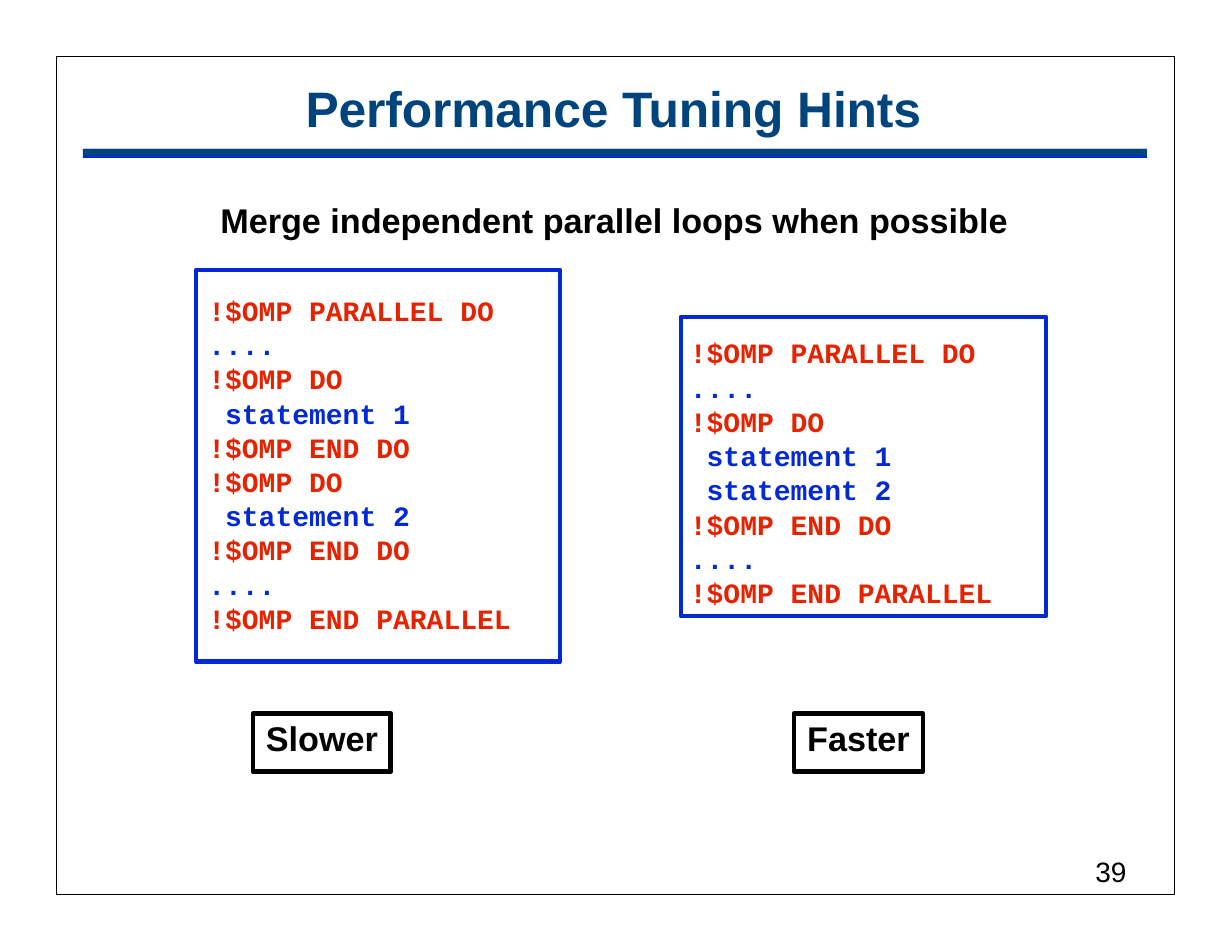
from pptx import Presentation
from pptx.dml.color import RGBColor
from pptx.enum.shapes import MSO_SHAPE
from pptx.enum.text import MSO_ANCHOR, PP_ALIGN
from pptx.util import Inches, Pt

RECT = MSO_SHAPE.RECTANGLE
TOP, MIDDLE = MSO_ANCHOR.TOP, MSO_ANCHOR.MIDDLE
LEFT, CENTER = PP_ALIGN.LEFT, PP_ALIGN.CENTER

COLORS = {"navy": "00447E", "blue": "0329D6", "red": "E62300", "black": "000000"}
FONTS = {
    "title": {"name": "Arial", "size": Pt(32), "bold": True},
    "head": {"name": "Arial", "size": Pt(22), "bold": True},
    "code": {"name": "Courier New", "size": Pt(18), "bold": True},
    "page": {"name": "Arial", "size": Pt(18), "bold": False},
}
INDENT = 0.15
SLOW = ["!$OMP PARALLEL DO", "....", "!$OMP DO", " statement 1", "!$OMP END DO",
        "!$OMP DO", " statement 2", "!$OMP END DO", "....", "!$OMP END PARALLEL"]
FAST = ["!$OMP PARALLEL DO", "....", "!$OMP DO", " statement 1", " statement 2",
        "!$OMP END DO", "....", "!$OMP END PARALLEL"]


def color(name):
    return RGBColor.from_string(COLORS[name])


def place(shape, box):
    for key, value in zip(("left", "top", "width", "height"), box):
        setattr(shape, key, Inches(value))


def set_frame(shape, anchor=TOP, inset=0, wrap=True):
    frame = shape.text_frame
    values = {"margin_left": 0, "margin_top": Inches(inset), "margin_right": 0,
              "margin_bottom": 0, "vertical_anchor": anchor, "word_wrap": wrap}
    for key, value in values.items():
        setattr(frame, key, value)
    return frame


def write(para, text, style, ink, align=LEFT):
    para.text = text
    para.alignment = align
    for key, value in FONTS[style].items():
        setattr(para.font, key, value)
    para.font.color.rgb = color(ink)


def add_rect(slide, box, line=None, width=0, fill=None):
    shape = slide.shapes.add_shape(RECT, *map(Inches, box))
    shape.shadow.inherit = False
    if fill:
        shape.fill.solid()
        shape.fill.fore_color.rgb = color(fill)
    else:
        shape.fill.background()
    if line:
        shape.line.color.rgb = color(line)
        shape.line.width = Pt(width)
    else:
        shape.line.fill.background()
    return shape


def add_title(slide, text):
    title = slide.shapes.title
    place(title, (0.68, 0.7, 9.59, 0.53))
    para = set_frame(title, MIDDLE).paragraphs[0]
    write(para, text, "title", "navy", CENTER)
    para.runs[0]._r.get_or_add_rPr().set("spc", "-10")


def add_text(slide, box, text, style, align=LEFT):
    shape = slide.shapes.add_textbox(*map(Inches, box))
    frame = set_frame(shape, wrap=False)
    write(frame.paragraphs[0], text, style, "black", align)


def add_code(slide, box, lines, inset, margin):
    frame = set_frame(add_rect(slide, box, "blue", 3), inset=inset)
    for index, line in enumerate(lines):
        para = frame.paragraphs[0] if index == 0 else frame.add_paragraph()
        text = line.lstrip()
        write(para, text, "code", "red" if text.startswith("!") else "blue")
        depth = len(line) - len(text)
        para._p.get_or_add_pPr().set("marL", str(Inches(margin + depth * INDENT)))
        if index:
            para.space_before = Pt(0.4)


def add_label(slide, box, text):
    frame = set_frame(add_rect(slide, box, "black", 3), inset=0.03)
    write(frame.paragraphs[0], text, "head", "black", CENTER)


def main():
    deck = Presentation()
    deck.slide_width, deck.slide_height = Inches(11), Inches(8.5)
    slide = deck.slides.add_slide(deck.slide_layouts[5])
    add_rect(slide, (0.74, 1.33, 9.5, 0.08), fill="blue")
    add_rect(slide, (0.75, 1.33, 9.49, 0.06), fill="navy")
    add_label(slide, (2.26, 6.37, 1.23, 0.52), "Slower")
    add_label(slide, (7.09, 6.37, 1.15, 0.52), "Faster")
    add_code(slide, (6.08, 2.83, 3.26, 2.67), FAST, 0.17, 0.08)
    add_title(slide, "Performance Tuning Hints")
    add_text(slide, (1.95, 1.78, 7.07, 0.38),
             "Merge independent parallel loops when possible", "head", CENTER)
    add_code(slide, (1.75, 2.41, 3.25, 3.5), SLOW, 0.21, 0.11)
    add_rect(slide, (0.5, 0.5, 9.99, 7.49), "black", 0.5)
    add_text(slide, (9.78, 7.63, 0.3, 0.28), "39", "page")
    deck.save("out.pptx")


if __name__ == "__main__":
    main()
